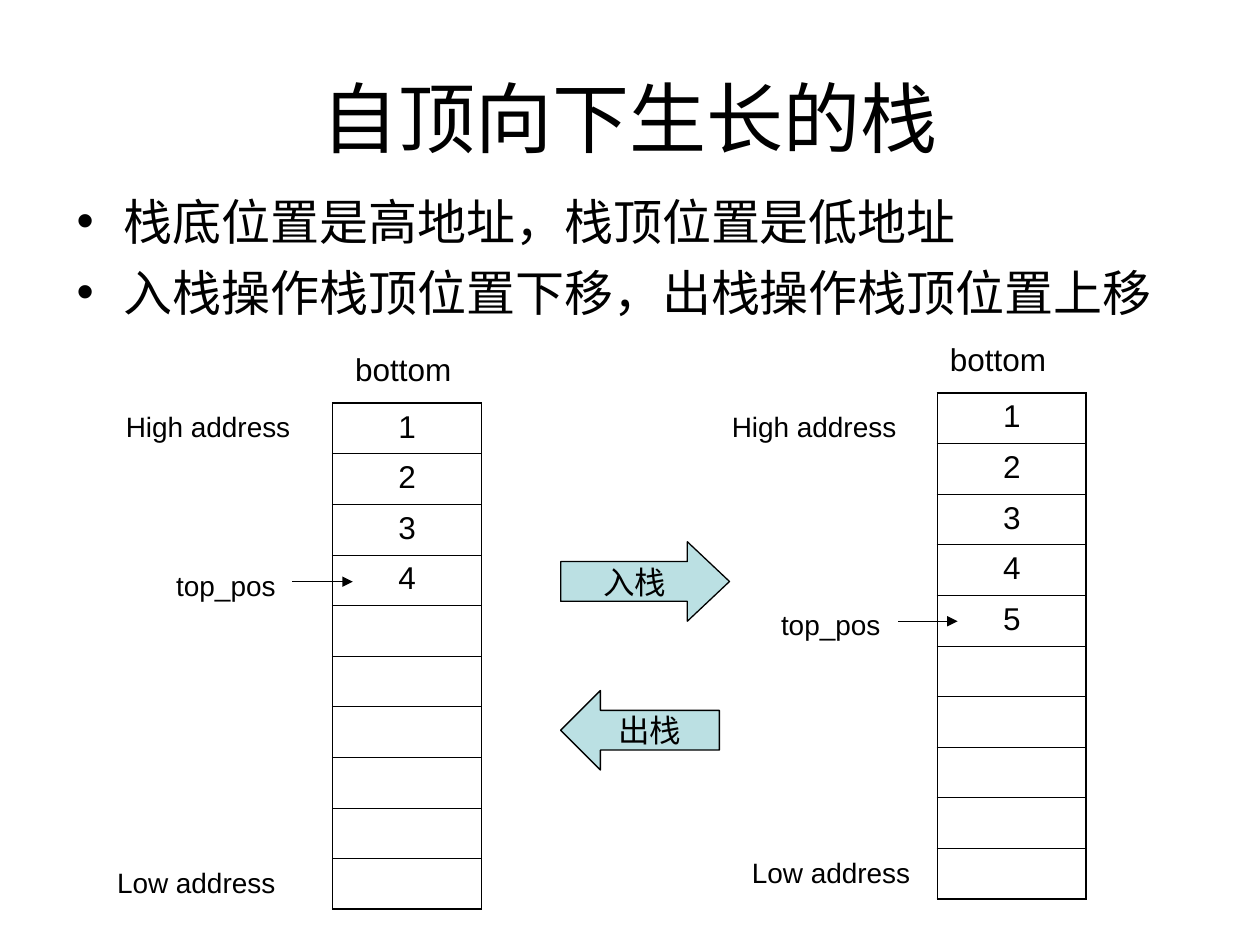
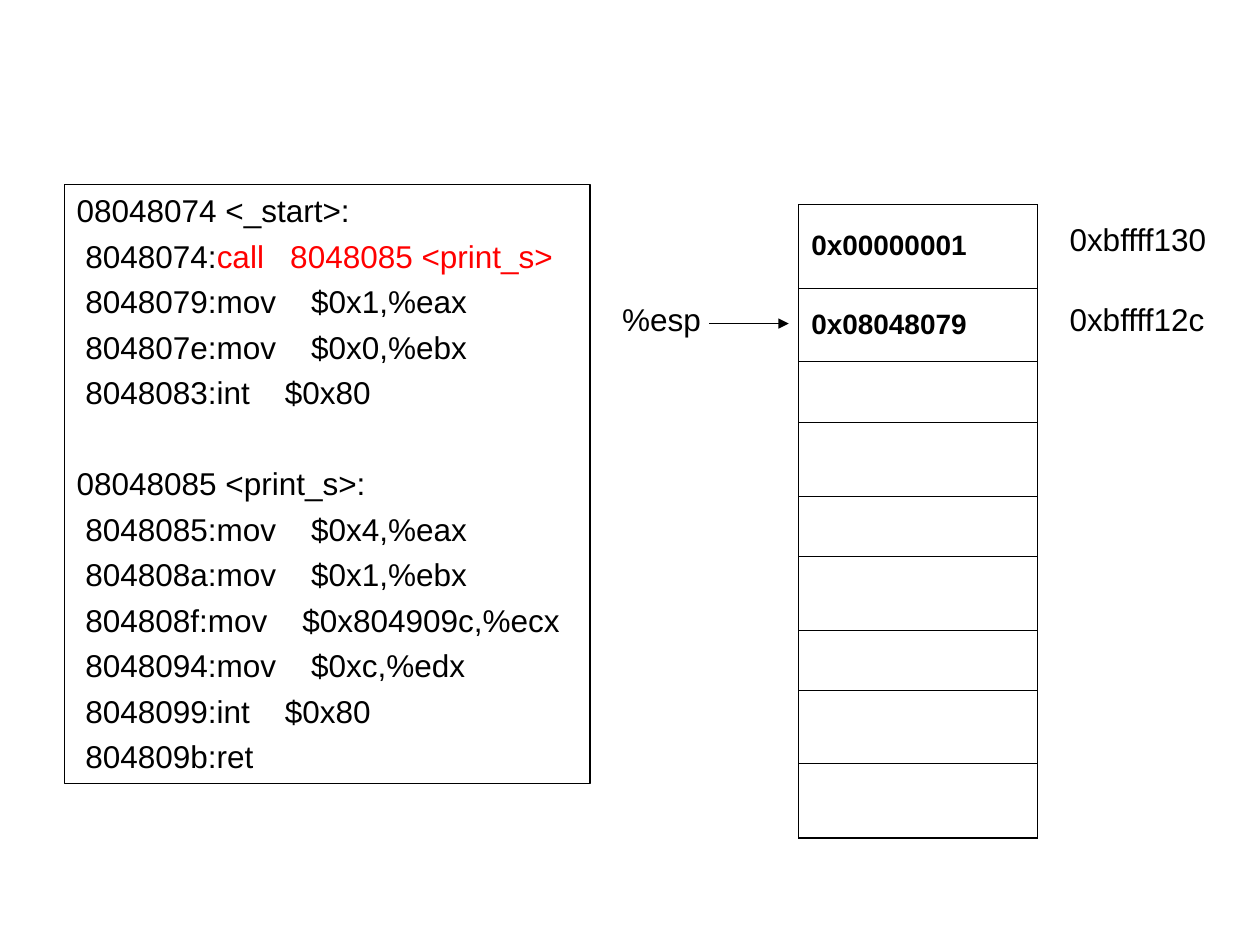
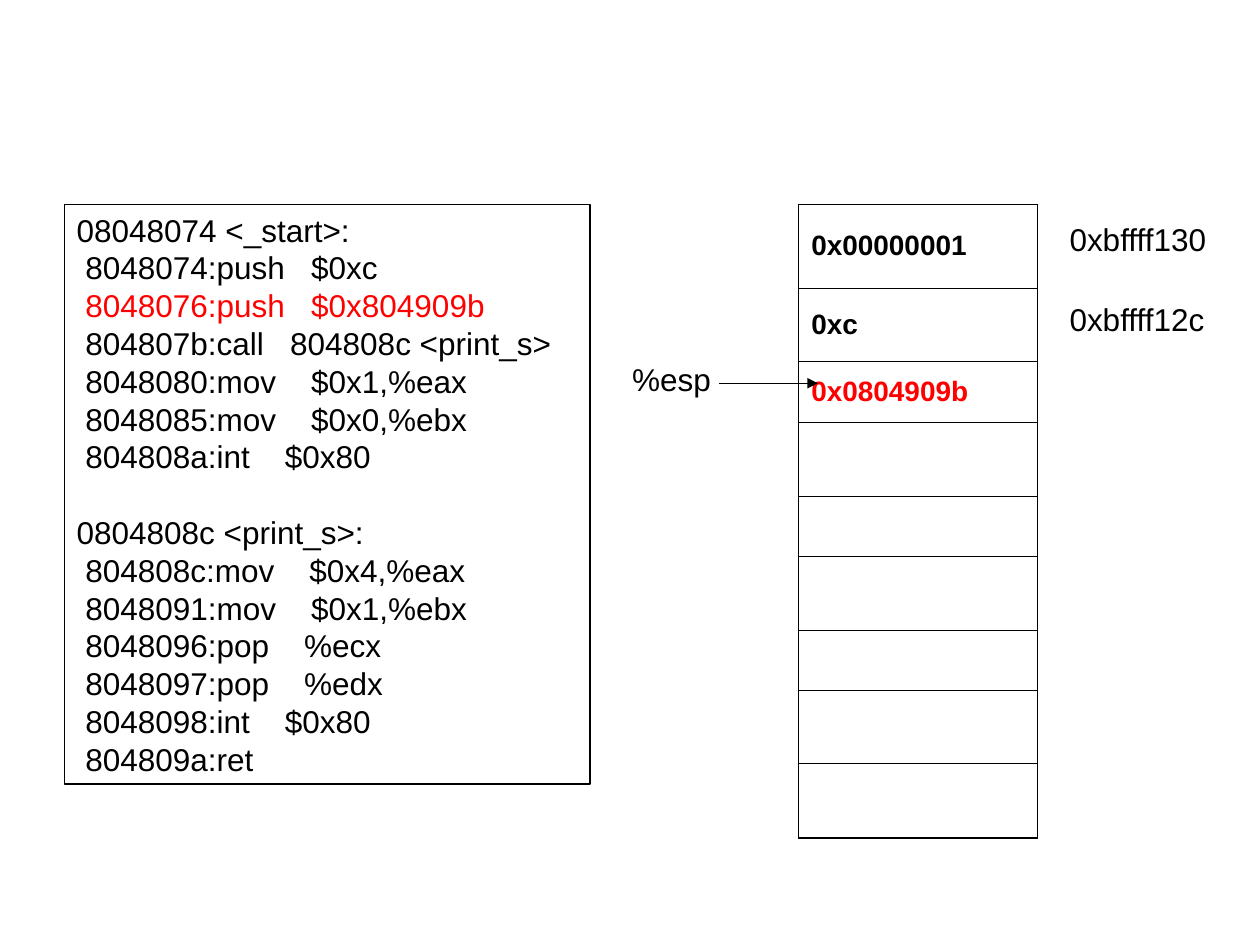
from dataclasses import dataclass
from typing import NamedTuple

from lxml.etree import SubElement
from pptx import Presentation
from pptx.dml.color import RGBColor
from pptx.enum.shapes import MSO_CONNECTOR, MSO_SHAPE
from pptx.enum.text import MSO_ANCHOR, PP_ALIGN
from pptx.oxml.ns import qn
from pptx.slide import Slide
from pptx.table import _Cell
from pptx.text.text import TextFrame, _Paragraph
from pptx.util import Pt

BLACK = RGBColor(0x00, 0x00, 0x00)
RED = RGBColor(0xFF, 0x00, 0x00)
PALE_TEAL = RGBColor(0xBB, 0xE0, 0xE3)
FONT = "Arial"

THIN, THICK, OUTLINE = 0.45, 1.08, 0.75
CODE_LINE = 21.6
BULLET_INDENT = 27


class Span(NamedTuple):
    text: str
    color: RGBColor = BLACK


class Box(NamedTuple):
    left: float
    top: float
    width: float
    height: float


class Pointer(NamedTuple):
    left: float
    right: float
    y: float


class Label(NamedTuple):
    text: str
    left: float
    top: float
    width: float
    size: float = 18


class BlockArrow(NamedTuple):
    text: str
    preset: MSO_SHAPE
    box: Box
    head: float


class Borders(NamedTuple):
    side: float
    top: float
    inner: float
    bottom: float


@dataclass
class Stack:
    left: float
    top: float
    width: float
    rows: list[float]
    values: list[Span]
    borders: Borders
    size: float
    bold: bool = False
    align: PP_ALIGN = PP_ALIGN.LEFT
    anchor: MSO_ANCHOR = MSO_ANCHOR.MIDDLE


@dataclass
class CodeTrace:
    """A disassembly beside the stack contents at one step."""
    code_box: Box
    line_gap: float
    routines: list[list[list[Span]]]
    stack_values: list[Span]
    esp_label: Label
    esp_pointer: Pointer


def add_span(para: _Paragraph, span: Span, size: float, bold: bool = False) -> None:
    run = para.add_run()
    run.text = span.text
    run.font.name = FONT
    run.font.size = Pt(size)
    run.font.bold = bold
    run.font.color.rgb = span.color


def add_text_box(page: Slide, box: Box) -> TextFrame:
    frame = page.shapes.add_textbox(*map(Pt, box)).text_frame
    frame.word_wrap = True
    return frame


def next_paragraph(frame: TextFrame, index: int) -> _Paragraph:
    return frame.add_paragraph() if index else frame.paragraphs[0]


def add_title(page: Slide, text: str) -> None:
    frame = add_text_box(page, Box(36, 21.6, 648, 90))
    frame.vertical_anchor = MSO_ANCHOR.MIDDLE
    para = frame.paragraphs[0]
    para.alignment = PP_ALIGN.CENTER
    add_span(para, Span(text), 44)


def add_bullets(page: Slide, lines: list[str]) -> None:
    frame = add_text_box(page, Box(36.7, 105.8, 646.6, 96.5))
    for index, line in enumerate(lines):
        para = next_paragraph(frame, index)
        properties = para._p.get_or_add_pPr()
        properties.set("marL", str(Pt(BULLET_INDENT)))
        properties.set("indent", str(-Pt(BULLET_INDENT)))
        SubElement(properties, qn("a:buFont"), typeface=FONT)
        SubElement(properties, qn("a:buChar"), char="•")
        if index:
            para.space_before = Pt(7)
        add_span(para, Span(line), 28)


def add_label(page: Slide, label: Label) -> None:
    height = label.size * 1.2 + 7.2
    frame = add_text_box(page, Box(label.left, label.top, label.width, height))
    add_span(frame.paragraphs[0], Span(label.text), label.size)


def add_pointer(page: Slide, pointer: Pointer) -> None:
    line = page.shapes.add_connector(
        MSO_CONNECTOR.STRAIGHT,
        Pt(pointer.left), Pt(pointer.y), Pt(pointer.right), Pt(pointer.y),
    )
    line.line.color.rgb = BLACK
    line.line.width = Pt(OUTLINE)
    SubElement(line.line._get_or_add_ln(), qn("a:tailEnd"), type="triangle")
    SubElement(line._element.spPr, qn("a:effectLst"))


def add_block_arrow(page: Slide, arrow: BlockArrow) -> None:
    shape = page.shapes.add_shape(arrow.preset, *map(Pt, arrow.box))
    shape.shadow.inherit = False
    shape.adjustments[1] = arrow.head
    shape.fill.solid()
    shape.fill.fore_color.rgb = PALE_TEAL
    shape.line.color.rgb = BLACK
    shape.line.width = Pt(OUTLINE)
    frame = shape.text_frame
    frame.word_wrap = False
    frame.vertical_anchor = MSO_ANCHOR.MIDDLE
    para = frame.paragraphs[0]
    para.alignment = PP_ALIGN.CENTER
    add_span(para, Span(arrow.text), 18)


def set_borders(cell: _Cell, borders: Borders, is_first: bool, is_last: bool) -> None:
    widths = {
        "a:lnL": borders.side,
        "a:lnR": borders.side,
        "a:lnT": borders.top if is_first else borders.inner,
        "a:lnB": borders.bottom if is_last else borders.inner,
    }
    properties = cell._tc.get_or_add_tcPr()
    for index, (tag, width) in enumerate(widths.items()):
        line = SubElement(properties, qn(tag), w=str(Pt(width)))
        fill = SubElement(line, qn("a:solidFill"))
        SubElement(fill, qn("a:srgbClr"), val=str(BLACK))
        properties.insert(index, line)


def add_stack(page: Slide, stack: Stack) -> None:
    count = len(stack.rows)
    table = page.shapes.add_table(
        count, 1, Pt(stack.left), Pt(stack.top), Pt(stack.width), Pt(sum(stack.rows))
    ).table
    table.first_row = False
    table.horz_banding = False
    table.columns[0].width = Pt(stack.width)
    for index, height in enumerate(stack.rows):
        table.rows[index].height = Pt(height)
        cell = table.cell(index, 0)
        cell.fill.background()
        cell.vertical_anchor = stack.anchor
        set_borders(cell, stack.borders, index == 0, index == count - 1)
        if index < len(stack.values):
            para = cell.text_frame.paragraphs[0]
            para.alignment = stack.align
            add_span(para, stack.values[index], stack.size, stack.bold)


def add_code(page: Slide, trace: CodeTrace) -> None:
    """Draw the framed listing, leaving one line free between routines."""
    shape = page.shapes.add_shape(MSO_SHAPE.RECTANGLE, *map(Pt, trace.code_box))
    shape.shadow.inherit = False
    shape.fill.background()
    shape.line.color.rgb = BLACK
    shape.line.width = Pt(OUTLINE)
    frame = shape.text_frame
    frame.word_wrap = True
    frame.vertical_anchor = MSO_ANCHOR.TOP
    gap = trace.line_gap
    index = 0
    for routine in trace.routines:
        for position, spans in enumerate(routine):
            para = next_paragraph(frame, index)
            para.alignment = PP_ALIGN.LEFT
            para.line_spacing = Pt(CODE_LINE)
            para.space_after = Pt(gap)
            if index:
                para.space_before = Pt(gap if position else CODE_LINE + 3 * gap)
            for span in spans:
                add_span(para, span, 18)
            index += 1


def plain(*lines: str) -> list[list[Span]]:
    return [[Span(line)] for line in lines]


def number_stack(left: float, top: float, filled: int) -> Stack:
    return Stack(
        left, top, 85, [28.94] * 10,
        [Span(str(number + 1)) for number in range(filled)],
        Borders(THICK, THICK, THIN, THICK), 18,
        align=PP_ALIGN.CENTER, anchor=MSO_ANCHOR.TOP,
    )


STACKS = [number_stack(190.1, 230.4, 4), number_stack(535.7, 224.6, 5)]
STACK_LABELS = [
    Label("bottom", 195.8, 196.6, 73.4),
    Label("High address", 64.8, 230.4, 113, 16),
    Label("top_pos", 93.6, 321.1, 73.4, 16),
    Label("Low address", 59.8, 491, 113, 16),
    Label("bottom", 535.7, 190.8, 73.4),
    Label("High address", 411.1, 230.4, 113, 16),
    Label("top_pos", 439.2, 343.4, 73.4, 16),
    Label("Low address", 422.6, 485.3, 113, 16),
]
TOP_POINTERS = [Pointer(167, 201.6, 332.4), Pointer(513.2, 547.2, 355)]
OPERATIONS = [
    BlockArrow("入栈", MSO_SHAPE.RIGHT_ARROW, Box(320.4, 309.6, 96.5, 45.4), 0.53),
    BlockArrow("出栈", MSO_SHAPE.LEFT_ARROW, Box(320.4, 394.6, 90.7, 45.4), 0.5),
]

MEMORY_ROWS = [47.8, 42, 34.6, 42.4, 34.4, 42.2, 34.4, 42, 42.4]
ADDRESS_LABELS = [
    Label("0xbffff130", 604.1, 122.4, 96.5),
    Label("0xbffff12c", 604.1, 167.8, 96.5),
]

TRACES = [
    CodeTrace(
        Box(36.7, 105.6, 300.4, 342), 2.2,
        [
            [
                [Span("08048074 <_start>:")],
                [Span(" 8048074:"), Span("call   8048085 <print_s>", RED)],
                *plain(
                    " 8048079:mov    $0x1,%eax",
                    " 804807e:mov    $0x0,%ebx",
                    " 8048083:int    $0x80",
                ),
            ],
            plain(
                "08048085 <print_s>:",
                " 8048085:mov    $0x4,%eax",
                " 804808a:mov    $0x1,%ebx",
                " 804808f:mov    $0x804909c,%ecx",
                " 8048094:mov    $0xc,%edx",
                " 8048099:int    $0x80",
                " 804809b:ret",
            ),
        ],
        [Span("0x00000001"), Span("0x08048079")],
        Label("%esp", 348.5, 167.8, 62.6),
        Pointer(405.4, 450.7, 184.9),
    ),
    CodeTrace(
        Box(36.7, 116.8, 300.4, 331.2), 0,
        [
            [
                *plain("08048074 <_start>:", " 8048074:push   $0xc"),
                [Span(" "), Span("8048076:push   $0x804909b", RED)],
                *plain(
                    " 804807b:call   804808c <print_s>",
                    " 8048080:mov    $0x1,%eax",
                    " 8048085:mov    $0x0,%ebx",
                    " 804808a:int    $0x80",
                ),
            ],
            plain(
                "0804808c <print_s>:",
                " 804808c:mov    $0x4,%eax",
                " 8048091:mov    $0x1,%ebx",
                " 8048096:pop    %ecx",
                " 8048097:pop    %edx",
                " 8048098:int    $0x80",
                " 804809a:ret",
            ),
        ],
        [Span("0x00000001"), Span("0xc"), Span("0x0804909b", RED)],
        Label("%esp", 354.2, 202.2, 62.6),
        Pointer(411.1, 467.4, 219),
    ),
]


def draw_stack_growth(page: Slide) -> None:
    add_title(page, "自顶向下生长的栈")
    add_bullets(page, [
        "栈底位置是高地址，栈顶位置是低地址",
        "入栈操作栈顶位置下移，出栈操作栈顶位置上移",
    ])
    for stack in STACKS:
        add_stack(page, stack)
    for label in STACK_LABELS:
        add_label(page, label)
    for pointer in TOP_POINTERS:
        add_pointer(page, pointer)
    for operation in OPERATIONS:
        add_block_arrow(page, operation)


def draw_trace(page: Slide, trace: CodeTrace) -> None:
    add_code(page, trace)
    add_stack(page, Stack(
        456.4, 116.8, 136.4, MEMORY_ROWS, trace.stack_values,
        Borders(THIN, THIN, THIN, THICK), 16, bold=True,
    ))
    for label in [*ADDRESS_LABELS, trace.esp_label]:
        add_label(page, label)
    add_pointer(page, trace.esp_pointer)


def main() -> None:
    deck = Presentation()
    deck.slide_width = Pt(720)
    deck.slide_height = Pt(540)
    blank = deck.slide_layouts[6]
    draw_stack_growth(deck.slides.add_slide(blank))
    for trace in TRACES:
        draw_trace(deck.slides.add_slide(blank), trace)
    deck.save("out.pptx")


if __name__ == "__main__":
    main()
